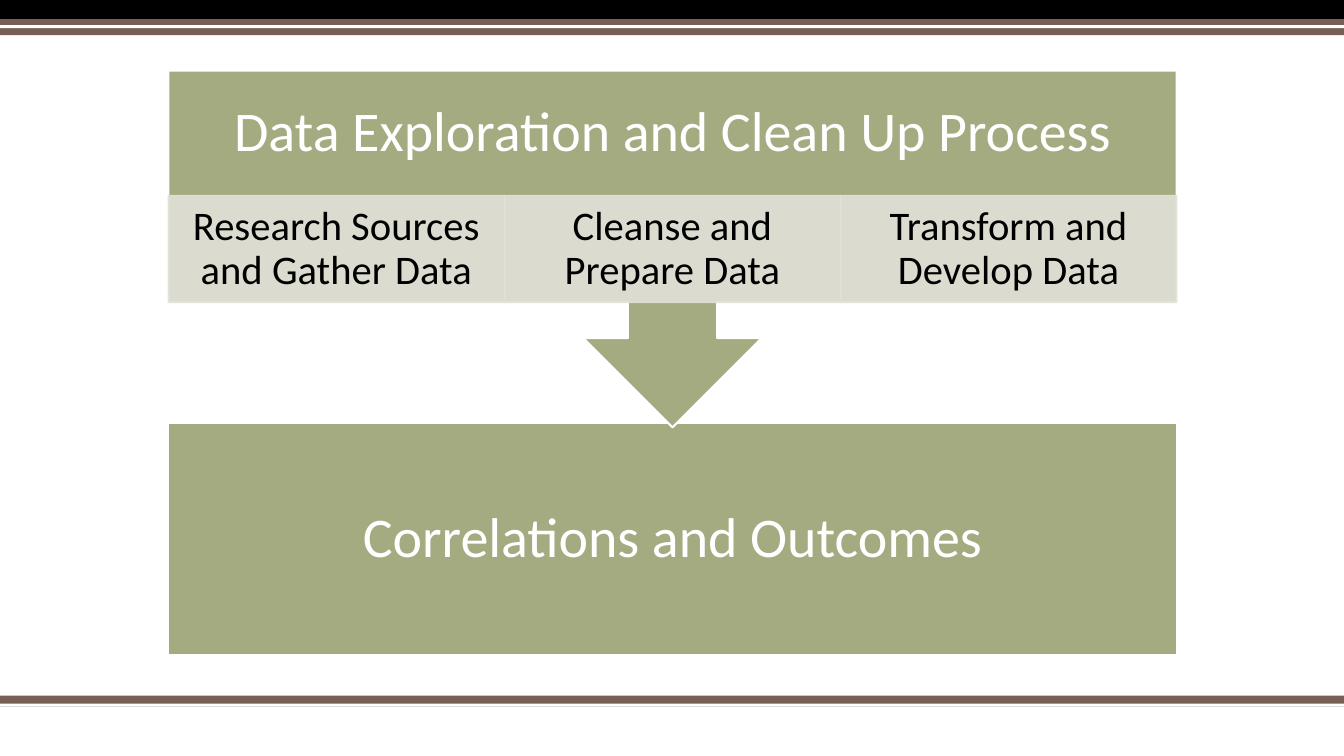
from lxml.etree import SubElement
from pptx import Presentation
from pptx.dml.color import RGBColor
from pptx.enum.shapes import MSO_SHAPE
from pptx.enum.text import MSO_ANCHOR, PP_ALIGN
from pptx.oxml.ns import qn
from pptx.util import Inches, Pt

COLORS = {
    "white": "FFFFFF",
    "black": "000000",
    "brown": "775F55",
    "green": "A5AB81",
    "pale": "E1E2D8",
}
SLIDE_WIDTH = 13.33
STEPS = [
    "Research Sources and Gather Data",
    "Cleanse and Prepare Data",
    "Transform and Develop Data",
]


def set_color(fill, color, opacity):
    fill.solid()
    fill.fore_color.rgb = RGBColor.from_string(COLORS[color])
    if opacity < 100:
        for element in fill._xPr.iter(qn("a:srgbClr")):
            SubElement(element, qn("a:alpha"), val=str(opacity * 1000))


def add_block(slide, box, color, kind=MSO_SHAPE.RECTANGLE, line=None, line_width=1.5, opacity=100):
    shape = slide.shapes.add_shape(kind, *map(Inches, box))
    shape.shadow.inherit = False
    set_color(shape.fill, color, opacity)
    if line:
        set_color(shape.line.fill, line, opacity)
        shape.line.width = Pt(line_width)
    else:
        shape.line.fill.background()
    return shape


def write_text(shape, text, size=40, color="white", side=0.31, top=0.31):
    frame = shape.text_frame
    frame.word_wrap = True
    frame.vertical_anchor = MSO_ANCHOR.MIDDLE
    frame.margin_left = frame.margin_right = Inches(side)
    frame.margin_top = frame.margin_bottom = Inches(top)
    paragraph = frame.paragraphs[0]
    paragraph.alignment = PP_ALIGN.CENTER
    paragraph.line_spacing = 0.9
    run = paragraph.add_run()
    run.text = text
    run.font.size = Pt(size)
    run.font.name = "Calibri"
    run.font.color.rgb = RGBColor.from_string(COLORS[color])


def add_bands(slide, top, bands):
    """Stack full-width bands, given as (offset, height, color), from top."""
    for offset, height, color in bands:
        add_block(slide, (0, top + offset, SLIDE_WIDTH, height), color)


def add_outcome(slide, box, text):
    write_text(add_block(slide, box, "green", line="white"), text)


def add_process(slide, box, title, steps):
    """Draw a downward callout with a title and a row of steps in its body."""
    left, top, width, height = box
    title_height, step_height = 0.35 * height, 0.3 * height
    callout = add_block(slide, box, "green", MSO_SHAPE.UP_ARROW_CALLOUT, line="white")
    callout.rotation = 180
    heading = slide.shapes.add_textbox(*map(Inches, (left, top, width, title_height)))
    write_text(heading, title)
    step_width = width / len(steps)
    for index, step in enumerate(steps):
        step_box = (left + index * step_width, top + title_height, step_width, step_height)
        cell = add_block(slide, step_box, "pale", line="pale", line_width=1, opacity=90)
        write_text(cell, step, size=29, color="black", side=0.23, top=0.04)


def main():
    presentation = Presentation()
    presentation.slide_width = Inches(SLIDE_WIDTH)
    presentation.slide_height = Inches(7.5)
    slide = presentation.slides.add_slide(presentation.slide_layouts[6])
    add_bands(slide, 6.9, [(0, 0.11, "brown"), (0.08, 0.03, "white")])
    add_bands(slide, 0, [(0, 0.19, "black"), (0.19, 0.16, "brown"), (0.25, 0.03, "white")])
    add_outcome(slide, (1.67, 4.2, 10, 2.3), "Correlations and Outcomes")
    add_process(slide, (1.67, 0.7, 10, 3.54), "Data Exploration and Clean Up Process", STEPS)
    presentation.save("out.pptx")


if __name__ == "__main__":
    main()
